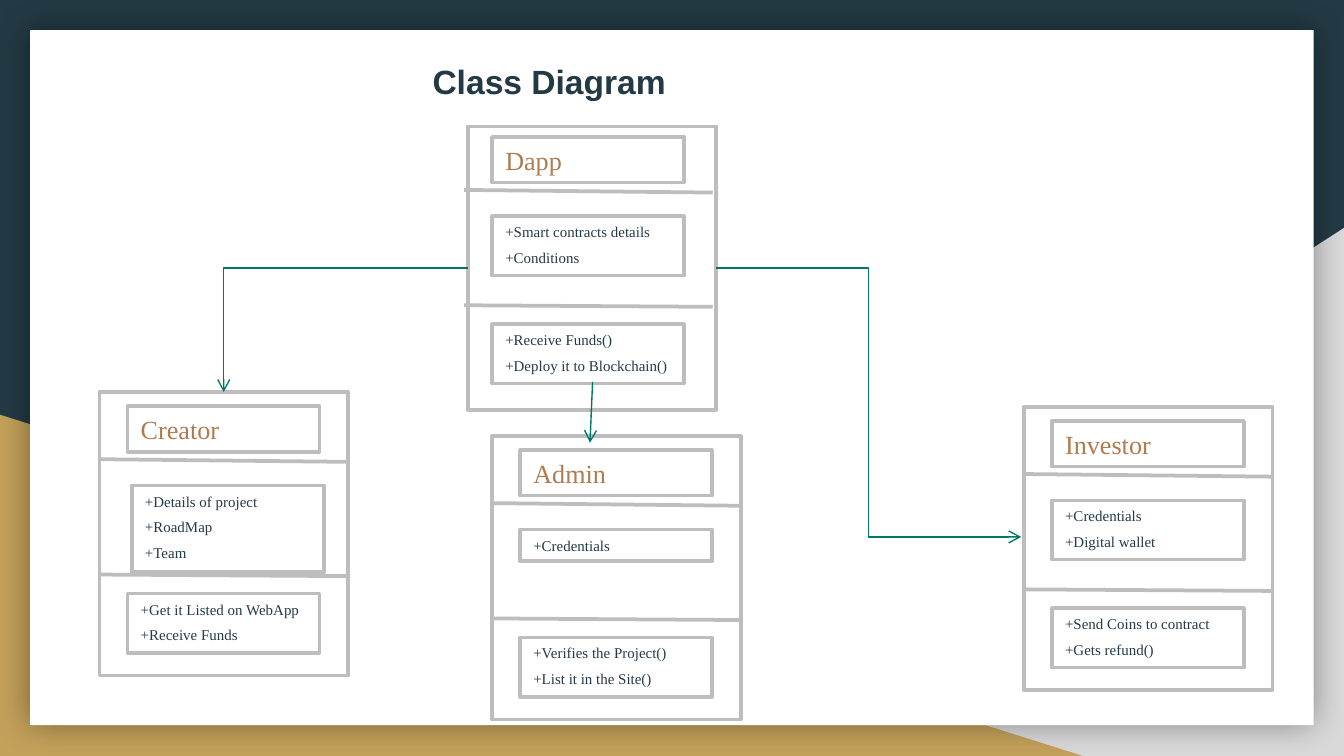
from dataclasses import dataclass

from lxml.etree import SubElement
from pptx import Presentation
from pptx.dml.color import RGBColor
from pptx.enum.shapes import MSO_CONNECTOR, MSO_SHAPE
from pptx.enum.text import MSO_ANCHOR, MSO_AUTO_SIZE, PP_ALIGN
from pptx.oxml.ns import qn
from pptx.util import Cm, Pt


@dataclass(frozen=True)
class Theme:
    dark: str = "233A44"
    grey: str = "D9D9D9"
    gold: str = "C4A15A"
    white: str = "FFFFFF"
    border: str = "BDBDBD"
    name: str = "AF7B51"
    arrow: str = "007669"
    title_font: str = "Arial"
    body_font: str = "Times New Roman"
    title_size: float = 18
    name_size: float = 14
    member_size: float = 8
    member_gap: float = 4.2
    border_width: float = 2
    arrow_width: float = 0.75


THEME = Theme()
TITLE = "Class Diagram"
CLASSES = [
    {"name": "Dapp", "at": (8.84, 2.39), "shift": -0.07,
     "attributes": ["+Smart contracts details", "+Conditions"],
     "operations": ["+Receive Funds()", "+Deploy it to Blockchain()"]},
    {"name": "Creator", "at": (1.88, 7.41), "attribute_indent": 0.08,
     "attributes": ["+Details of project", "+RoadMap", "+Team"],
     "operations": ["+Get it Listed on WebApp", "+Receive Funds"]},
    {"name": "Investor", "at": (19.35, 7.69),
     "attributes": ["+Credentials", "+Digital wallet"],
     "operations": ["+Send Coins to contract", "+Gets refund()"]},
    {"name": "Admin", "at": (9.3, 8.24),
     "attributes": ["+Credentials"],
     "operations": ["+Verifies the Project()", "+List it in the Site()"]},
]

SLIDE_WIDTH, SLIDE_HEIGHT = 25.4, 14.29
CLASS_WIDTH, CLASS_HEIGHT = 4.7, 5.36
FIELD_WIDTH, FIELD_INDENT, NAME_HEIGHT = 3.63, 0.53, 0.86
NAME_TOP, ATTRIBUTES_TOP, OPERATIONS_TOP = 0.27, 1.77, 3.81
DIVIDERS = [(1.27, 1.32), (3.45, 3.48)]
FIELD_PADDING, LINE_PITCH = 0.08, 0.52


def color(value):
    return RGBColor.from_string(value)


def add_box(slide, left, top, width, height, fill=THEME.white, line=None,
            preset=MSO_SHAPE.RECTANGLE):
    shape = slide.shapes.add_shape(preset, Cm(left), Cm(top), Cm(width), Cm(height))
    shape.shadow.inherit = False
    shape.fill.solid()
    shape.fill.fore_color.rgb = color(fill)
    if line:
        shape.line.color.rgb = color(line)
        shape.line.width = Pt(THEME.border_width)
    else:
        shape.line.fill.background()
    return shape


def write_text(shape, lines, size, font, text_color, bold=False, gap=0,
               anchor=MSO_ANCHOR.TOP):
    frame = shape.text_frame
    frame.word_wrap = True
    frame.auto_size = MSO_AUTO_SIZE.NONE
    frame.vertical_anchor = anchor
    frame.text = "\n".join(lines)
    for paragraph in frame.paragraphs:
        paragraph.alignment = PP_ALIGN.LEFT
        paragraph.space_before = Pt(gap)
        for run in paragraph.runs:
            run.font.size = Pt(size)
            run.font.name = font
            run.font.bold = bold
            run.font.color.rgb = color(text_color)


def add_line(slide, start, end, line=THEME.border, width=THEME.border_width,
             kind=MSO_CONNECTOR.STRAIGHT, arrow=False):
    points = [Cm(value) for value in (*start, *end)]
    connector = slide.shapes.add_connector(kind, *points)
    connector.line.color.rgb = color(line)
    connector.line.width = Pt(width)
    properties = connector._element.spPr
    if arrow:
        SubElement(properties.find(qn("a:ln")), qn("a:tailEnd"), type="arrow")
    SubElement(properties, qn("a:effectLst"))
    return connector


def add_arrow(slide, start, end, kind=MSO_CONNECTOR.STRAIGHT):
    return add_line(slide, start, end, THEME.arrow, THEME.arrow_width, kind, True)


def add_backdrop(slide):
    slide.background.fill.solid()
    slide.background.fill.fore_color.rgb = color(THEME.dark)
    for left, top, width, fill, flip in [(9.96, 4.31, 15.44, THEME.grey, "1"),
                                         (0, 7.84, 20.47, THEME.gold, "0")]:
        triangle = add_box(slide, left, top, width, SLIDE_HEIGHT - top, fill,
                           preset=MSO_SHAPE.RIGHT_TRIANGLE)
        triangle._element.spPr.find(qn("a:xfrm")).set("flipH", flip)
    card = add_box(slide, 0.57, 0.57, 24.26, 13.14)
    effects = card._element.spPr.find(qn("a:effectLst"))
    shadow = SubElement(effects, qn("a:outerShdw"), blurRad=str(Pt(18)),
                        dist="0", dir="0", algn="ctr", rotWithShape="0")
    black = SubElement(shadow, qn("a:srgbClr"), val="000000")
    SubElement(black, qn("a:alpha"), val="40000")


def add_field(slide, left, top, lines):
    field = add_box(slide, left, top, FIELD_WIDTH,
                    FIELD_PADDING + LINE_PITCH * len(lines), line=THEME.border)
    write_text(field, lines, THEME.member_size, THEME.body_font, THEME.dark,
               gap=THEME.member_gap)


def add_class(slide, item):
    left, top = item["at"]
    frame = add_box(slide, left, top, CLASS_WIDTH, CLASS_HEIGHT, line=THEME.border)
    left, top = (value + item.get("shift", 0) for value in (left, top))
    field_left = left + FIELD_INDENT
    heading = add_box(slide, field_left, top + NAME_TOP, FIELD_WIDTH, NAME_HEIGHT,
                      line=THEME.border)
    write_text(heading, [item["name"]], THEME.name_size, THEME.body_font, THEME.name,
               anchor=MSO_ANCHOR.MIDDLE)
    add_field(slide, field_left + item.get("attribute_indent", 0),
              top + ATTRIBUTES_TOP, item["attributes"])
    add_field(slide, field_left, top + OPERATIONS_TOP, item["operations"])
    for start, end in DIVIDERS:
        add_line(slide, (left, top + start), (left + CLASS_WIDTH, top + end))
    return frame


def add_relations(slide, frames):
    investor = add_arrow(slide, (13.54, 5.07), (19.3, 10.15), MSO_CONNECTOR.ELBOW)
    investor.begin_connect(frames["Dapp"], 3)
    add_arrow(slide, (11.2, 7.22), (11.15, 8.37))
    creator = add_arrow(slide, (8.84, 5.07), (4.23, 7.41), MSO_CONNECTOR.ELBOW)
    creator._element.spPr.find(qn("a:prstGeom")).set("prst", "bentConnector2")
    creator.begin_connect(frames["Dapp"], 1)
    creator.end_connect(frames["Creator"], 0)


def add_title(slide):
    title = slide.shapes.title
    title.left, title.top, title.width, title.height = map(Cm, (7.92, 1.02, 9.55, 1.02))
    write_text(title, [TITLE], THEME.title_size, THEME.title_font, THEME.dark,
               bold=True, anchor=MSO_ANCHOR.MIDDLE)
    slide.shapes._spTree.append(title._element)


def main():
    presentation = Presentation()
    presentation.slide_width = Cm(SLIDE_WIDTH)
    presentation.slide_height = Cm(SLIDE_HEIGHT)
    slide = presentation.slides.add_slide(presentation.slide_layouts[5])
    add_backdrop(slide)
    frames = {item["name"]: add_class(slide, item) for item in CLASSES}
    add_relations(slide, frames)
    add_title(slide)
    presentation.save("out.pptx")


if __name__ == "__main__":
    main()
